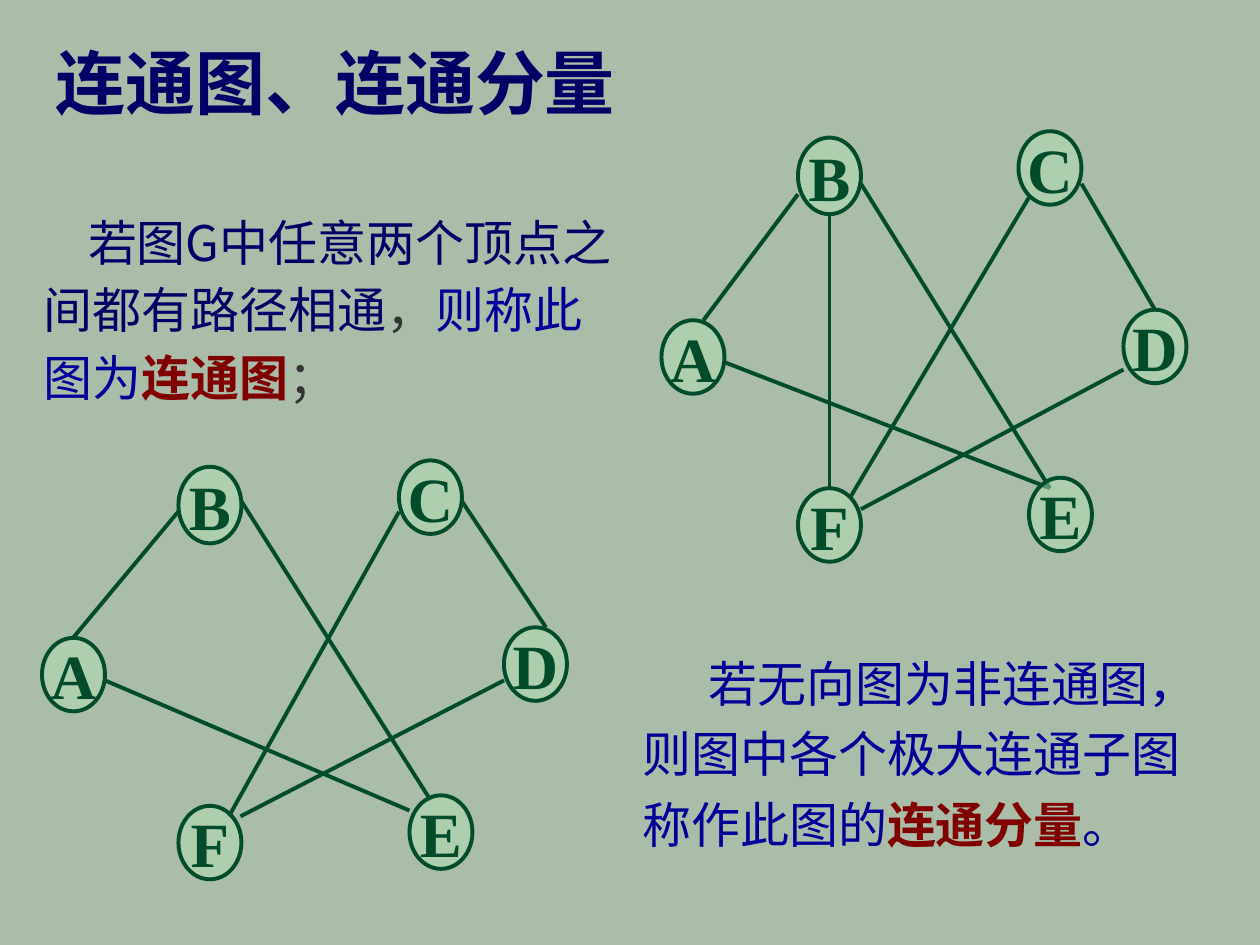
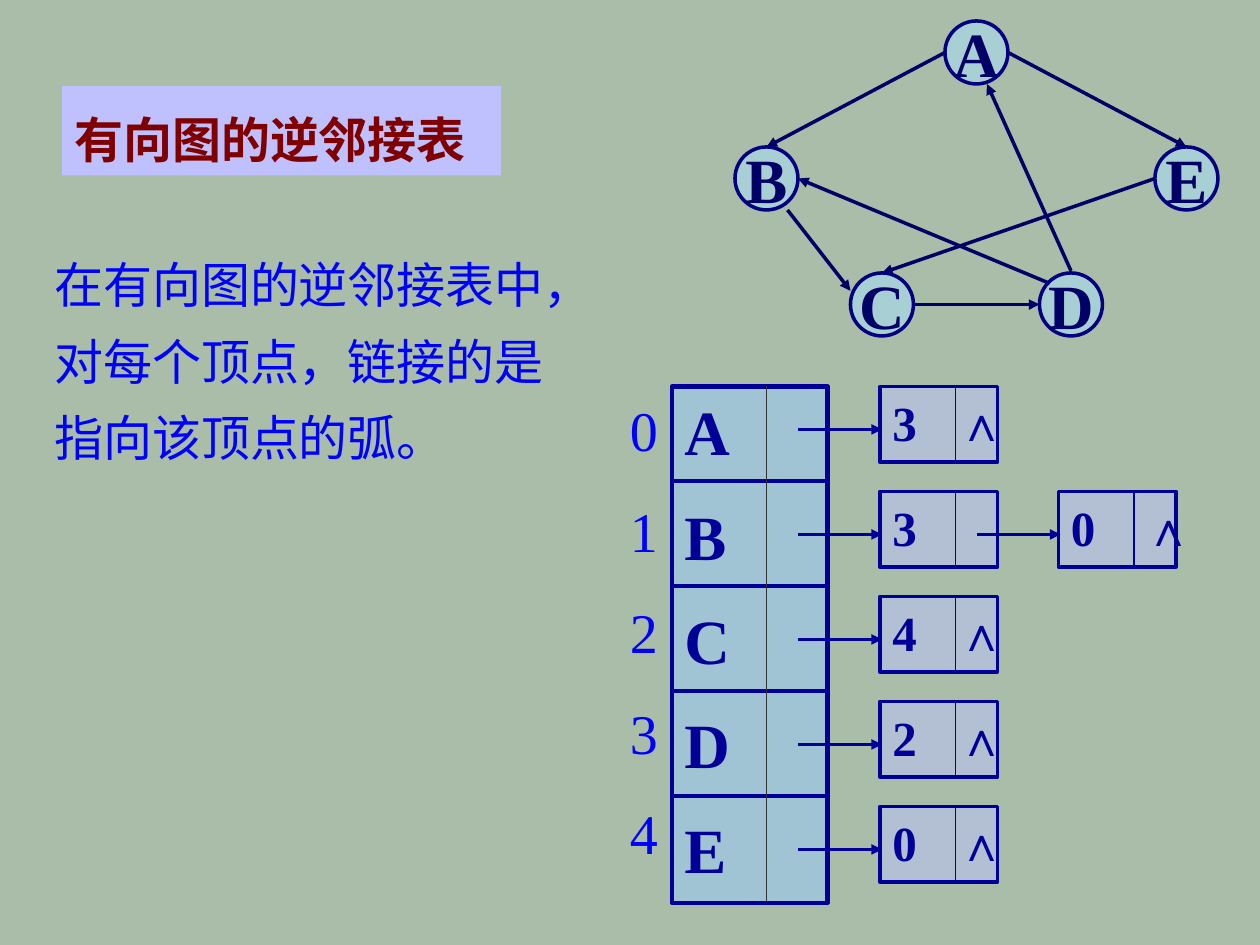
from pptx import Presentation
from pptx import util as u
from pptx.dml.color import RGBColor
from pptx.enum import shapes, text
from pptx.oxml.ns import qn
from lxml import etree

# The slide is a grid of 120 columns by 90 rows; every length counts cells.
COLUMNS, ROWS = 120, 90
CELL = u.Inches(10) / COLUMNS

SERIF, SANS = "Times New Roman", "Noto Sans CJK SC"
BACKGROUND, GREY = "A9BDA9", "333333"
NAVY, INK, BLUE, MAROON = "000066", "000099", "0000FF", "800000"
GREEN, MINT, SKY, PALE_BLUE, LAVENDER = "004C2B", "B3E1B3", "A7E2FF", "99CCFF", "BEC1FE"

NODE = 6
NULL_LINK = "∧"

CONNECTED_NODES = {"A": (63, 30.5), "B": (76, 13.1), "C": (97, 12.5),
                   "D": (107, 29.5), "E": (98, 45.5), "F": (76, 46.5)}
CONNECTED_EDGES = [
    (76, 18.5, 67, 30.5), (82, 17.5, 100, 46.5), (69, 34.5, 100, 46.5),
    (98, 18.8, 80.9, 47.5), (103, 17.5, 110, 29.5), (107, 35.2, 82, 48.5),
    (79, 20.4, 79, 46.5),
]
COMPONENT_SHIFT = (-59, 30.25)
COMPONENT_PEAK_DROP = {"B": 1.1, "C": 1.1}
COMPONENT_EDGES = [
    (17, 48.7, 7, 60.7), (23, 47.75, 41, 76.2), (10, 64.8, 39, 77.2),
    (38, 48.75, 21.8, 77.75), (44, 47.75, 52, 59.75), (48, 64.8, 22.9, 77.75),
]
DIRECTED_NODES = {"A": (90, 2), "B": (70, 14), "E": (110, 14),
                  "C": (81, 26), "D": (99, 26)}
ARCS = [
    (90, 5, 73, 14), (75, 20, 81, 27.7), (87, 29, 99, 29), (102, 25.8, 94, 8),
    (96, 5, 113, 14), (100, 27, 76, 17), (110, 17, 84, 26),
]
INVERSE_LISTS = {"A": "3", "B": "30", "C": "4", "D": "2", "E": "0"}


def cells(*counts):
    return [u.Emu(round(count * CELL)) for count in counts]


def color(hex_value):
    return RGBColor.from_string(hex_value)


def write(shape, paragraphs, size=28, font=SERIF, ink=INK, bold=False, align=None,
          spacing=None, before=0, indent=0, wrap=True, grow=False,
          anchor=text.MSO_ANCHOR.TOP):
    """Fill a shape; a paragraph is a list of (words, format overrides) runs."""
    frame = shape.text_frame
    frame.word_wrap = wrap
    frame.vertical_anchor = anchor
    if grow:
        frame.auto_size = text.MSO_AUTO_SIZE.SHAPE_TO_FIT_TEXT
    for index, runs in enumerate(paragraphs):
        paragraph = frame.add_paragraph() if index else frame.paragraphs[0]
        paragraph.alignment = align or text.PP_ALIGN.LEFT
        paragraph.line_spacing = spacing
        if index:
            paragraph.space_before = u.Pt(before)
        if indent:
            paragraph._p.get_or_add_pPr().set("indent", str(cells(indent)[0]))
        for words, override in runs:
            run = paragraph.add_run()
            run.text = words
            run.font.size = u.Pt(size)
            run.font.bold = override.get("bold", bold)
            run.font.color.rgb = color(override.get("ink", ink))
            run.font.name = font
            east_asian = etree.Element(qn("a:ea"), typeface=SANS)
            run._r.rPr.find(qn("a:latin")).addnext(east_asian)


def plain(*lines):
    return [[(line, {})] for line in lines]


def text_box(slide, box, paragraphs, **fmt):
    write(slide.shapes.add_textbox(*cells(*box)), paragraphs, grow=True, **fmt)


def filled(slide, kind, box, fill, outline=None, width=2, opacity=50):
    shape = slide.shapes.add_shape(kind, *cells(*box))
    shape.shadow.inherit = False
    shape.fill.solid()
    shape.fill.fore_color.rgb = color(fill)
    if opacity < 100:
        tone = shape._element.spPr.find(qn("a:solidFill"))[0]
        etree.SubElement(tone, qn("a:alpha"), val=str(opacity * 1000))
    if outline:
        shape.line.color.rgb = color(outline)
        shape.line.width = u.Pt(width)
    else:
        shape.line.fill.background()
    return shape


def rectangle(slide, *args, **kwargs):
    return filled(slide, shapes.MSO_SHAPE.RECTANGLE, *args, **kwargs)


def line(slide, ends, ink, width, arrow=False):
    link = slide.shapes.add_connector(shapes.MSO_CONNECTOR.STRAIGHT, *cells(*ends))
    link.line.color.rgb = color(ink)
    link.line.width = u.Pt(width)
    properties = link._element.spPr
    if arrow:
        etree.SubElement(properties.find(qn("a:ln")), qn("a:tailEnd"), type="triangle")
    etree.SubElement(properties, qn("a:effectLst"))


def graph(slide, nodes, edges, heights, fill, outline, edge_ink, ink, width, arrow=False):
    """Draw edges, then lettered nodes; heights gives a node's height by letter."""
    for edge in edges:
        line(slide, edge, edge_ink, width, arrow)
    for letter, (left, top) in nodes.items():
        node = filled(slide, shapes.MSO_SHAPE.OVAL,
                      (left, top, NODE, heights(letter)), fill, outline, width)
        write(node, plain(letter), size=36, ink=ink, bold=True, wrap=False,
              align=text.PP_ALIGN.CENTER, anchor=text.MSO_ANCHOR.MIDDLE)


def undirected_graph(slide, nodes, edges):
    graph(slide, nodes, edges, lambda letter: 7.3 if letter == "B" else 7,
          MINT, GREEN, GREEN, GREEN, 2.25)


def arc_node(slide, left, top, vertex, arrow_start, last, null_offset):
    """One linked-list node with its incoming arrow and its null mark if last."""
    box = rectangle(slide, (left, top, 11.2, 7.2), LAVENDER, INK)
    write(box, plain(vertex), bold=True)
    divider = left + 7.2
    line(slide, (divider, top + 0.1, divider, top + 7.1), INK, 1)
    line(slide, (arrow_start, top + 4.1, left + 0.2, top + 4.1), INK, 2, arrow=True)
    if last:
        text_box(slide, (left + null_offset, top, 5.3, 6.8), plain(NULL_LINK),
                 bold=True, wrap=False)


def inverse_adjacency_list(slide):
    left, top, row = 64, 36.8, 10
    heads = rectangle(slide, (left, top, 14.8, 49.2), PALE_BLUE, INK, 2.5)
    write(heads, plain(*INVERSE_LISTS), size=36, bold=True, before=16.5)
    for index in range(1, len(INVERSE_LISTS)):
        y = top - 1 + row * index
        line(slide, (left, y, left + 15, y), INK, 2.25)
    line(slide, (left + 9, top, left + 9, top + 49), GREY, 1)
    for index, vertices in enumerate(INVERSE_LISTS.values()):
        for step, vertex in enumerate(vertices):
            arc_node(slide, 83.8 + 17 * step, top + row * index, vertex,
                     arrow_start=76 + 17 * step, last=step == len(vertices) - 1,
                     null_offset=7 if step else 6.2)
    text_box(slide, (58.8, 37.1, 5, 47.3), plain(*map(str, range(len(INVERSE_LISTS)))),
             size=32, ink=BLUE, before=19.2, wrap=False)


def connectivity_slide(slide):
    text_box(slide, (4.1, 3.2, 56.3, 9.2), plain("连通图、连通分量"),
             size=40, ink=NAVY, bold=True, wrap=False)
    term = {"ink": MAROON, "bold": True}
    text_box(slide, (3, 18.8, 57, 20.5), [[
        ("若图G中任意两个顶点之间都有路径相通", {"ink": NAVY}), ("，", {"ink": GREY}),
        ("则称此图为", {}), ("连通图", term), ("；", {"ink": GREY}),
    ]], font=SANS, spacing=1.15, indent=4.2)
    text_box(slide, (60, 60.5, 57, 21.4), [[
        ("若无向图为非连通图，则图中各个极大连通子图称作此图的", {}),
        ("连通分量", term), ("。", {}),
    ]], spacing=1.2, indent=6.3)
    undirected_graph(slide, CONNECTED_NODES, CONNECTED_EDGES)
    across, down = COMPONENT_SHIFT
    component_nodes = {
        letter: (left + across, top + down + COMPONENT_PEAK_DROP.get(letter, 0))
        for letter, (left, top) in CONNECTED_NODES.items()}
    undirected_graph(slide, component_nodes, COMPONENT_EDGES)


def inverse_list_slide(slide):
    graph(slide, DIRECTED_NODES, ARCS, lambda letter: NODE,
          SKY, "000080", NAVY, NAVY, 2, arrow=True)
    heading = rectangle(slide, (5.9, 8.2, 41.8, 8.5), LAVENDER, opacity=100)
    write(heading, plain("有向图的逆邻接表"), ink=MAROON, bold=True, spacing=1.3)
    text_box(slide, (4, 22, 53, 23),
             plain("在有向图的逆邻接表中，对每个顶点，链接的是指向该顶点的弧。"),
             ink=BLUE, spacing=1.3)
    inverse_adjacency_list(slide)


def main():
    deck = Presentation()
    deck.slide_width, deck.slide_height = cells(COLUMNS, ROWS)
    backdrop = deck.slide_master.background.fill
    backdrop.solid()
    backdrop.fore_color.rgb = color(BACKGROUND)
    for build in (connectivity_slide, inverse_list_slide):
        build(deck.slides.add_slide(deck.slide_layouts[6]))
    deck.save("out.pptx")


if __name__ == "__main__":
    main()
